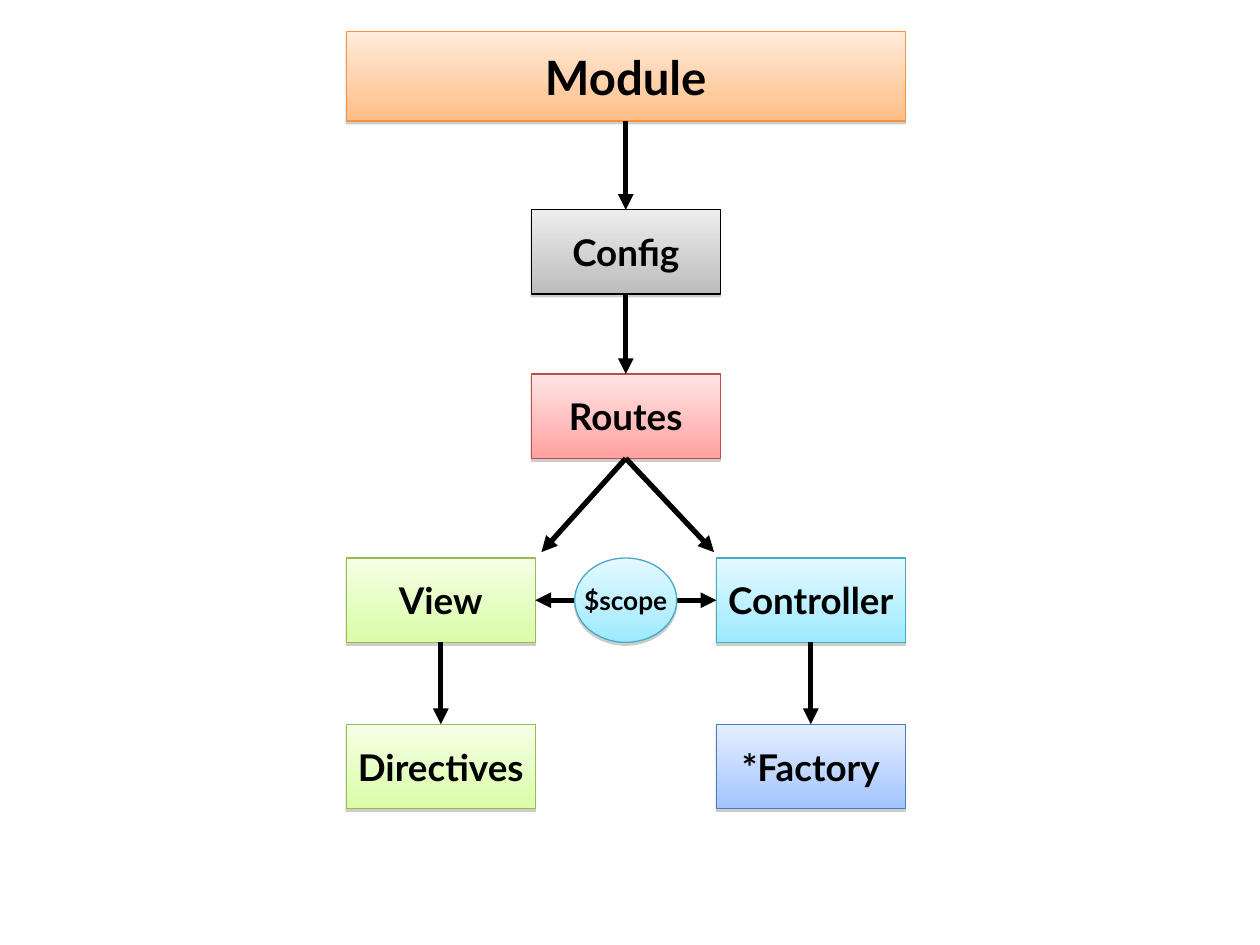
from dataclasses import dataclass

from lxml import etree
from pptx import Presentation
from pptx import util as u
from pptx.dml.color import RGBColor
from pptx.enum import shapes, text
from pptx.oxml import ns

TOP, LEFT, BOTTOM, RIGHT = range(4)


@dataclass(frozen=True)
class Theme:
    """Colours, as gradient top, gradient bottom and outline, and type sizes."""
    font: str = "Lato"
    ink: str = "000000"
    shadow: str = "808080"
    orange: tuple = ("FFEBDB", "FFBE86", "F69240")
    grey: tuple = ("EDEDED", "BCBCBC", "000000")
    red: tuple = ("FFE5E5", "FFA2A1", "BE4B48")
    green: tuple = ("F5FFE6", "DAFDA7", "98B954")
    cyan: tuple = ("E4F9FF", "9EEAFF", "46AAC5")
    blue: tuple = ("E5EEFF", "A3C4FF", "4A7EBB")
    title: int = 27
    label: int = 21
    small: int = 15
    outline: float = 0.75
    arrow: int = 3


def apply(target, values):
    """Set each named attribute of the target."""
    for name, value in values.items():
        setattr(target, name, value)


def add_element(parent, tag, **attributes):
    """Append a drawing element to the parent."""
    return etree.SubElement(parent, ns.qn(tag), attributes)


class Diagram:
    """Draws nodes and arrows on one slide in one theme."""

    def __init__(self, slide, theme):
        """Keep the slide and the theme."""
        self.slide = slide
        self.theme = theme

    def node(self, label, colours, left, top, width, height, size=None,
             kind=shapes.MSO_SHAPE.RECTANGLE):
        """Add a labelled gradient shape with a hard shadow."""
        shape = self.slide.shapes.add_shape(
            kind, u.Cm(left), u.Cm(top), u.Cm(width), u.Cm(height))
        *gradient, outline = colours
        shape.fill.gradient()
        shape.fill.gradient_angle = 270
        for position, (stop, colour) in enumerate(zip(shape.fill.gradient_stops, gradient)):
            stop.position = position
            stop.color.rgb = RGBColor.from_string(colour)
        shape.line.color.rgb = RGBColor.from_string(outline)
        shape.line.width = u.Pt(self.theme.outline)
        self.shadow(shape)
        apply(shape.text_frame, {"word_wrap": False,
                                 "vertical_anchor": text.MSO_ANCHOR.MIDDLE})
        paragraph = shape.text_frame.paragraphs[0]
        apply(paragraph, {"text": label, "alignment": text.PP_ALIGN.CENTER})
        apply(paragraph.runs[0].font, {"name": self.theme.font, "bold": True,
                                       "size": u.Pt(size or self.theme.label)})
        paragraph.runs[0].font.color.rgb = RGBColor.from_string(self.theme.ink)
        return shape

    def shadow(self, shape):
        """Give the shape a hard shadow straight below."""
        shape.shadow.inherit = False
        effects = shape.element.spPr.find(ns.qn("a:effectLst"))
        outer = add_element(effects, "a:outerShdw", blurRad="0", dist=str(u.Pt(1.6)),
                            dir="5400000", rotWithShape="0")
        colour = add_element(outer, "a:srgbClr", val=self.theme.shadow)
        add_element(colour, "a:alpha", val="38000")

    def arrow(self, start, start_side, end=None, end_side=TOP, point=(0, 0), both=False):
        """Add an arrow from one node to another node or to a free point."""
        connector = self.slide.shapes.add_connector(
            shapes.MSO_CONNECTOR.STRAIGHT, 0, 0, *map(u.Cm, point))
        connector.begin_connect(start, start_side)
        if end is not None:
            connector.end_connect(end, end_side)
        connector.line.color.rgb = RGBColor.from_string(self.theme.ink)
        connector.line.width = u.Pt(self.theme.arrow)
        line = connector.get_or_add_ln()
        if both:
            add_element(line, "a:headEnd", type="triangle")
        add_element(line, "a:tailEnd", type="triangle")
        add_element(connector.element.spPr, "a:effectLst")


def main():
    """Build the module diagram and save it."""
    presentation = Presentation()
    apply(presentation, {"slide_width": u.Cm(25.4), "slide_height": u.Cm(19.05)})
    slide = presentation.slides.add_slide(presentation.slide_layouts[6])
    theme = Theme()
    diagram = Diagram(slide, theme)

    width, height = 3.81, 1.7
    left, step = 6.98, 3.73
    middle, right = left + step, left + 2 * step
    centre = middle + width / 2
    split_row, leaf_row = 11.25, 14.6
    scope_width = 2.06

    module = diagram.node("Module", theme.orange, left, 0.64, 2 * step + width, 1.8, theme.title)
    config, routes, view, controller, directives, factory = [
        diagram.node(label, colours, column, row, width, height)
        for label, colours, column, row in (
            ("Config", theme.grey, middle, 4.23),
            ("Routes", theme.red, middle, 7.54),
            ("View", theme.green, left, split_row),
            ("Controller", theme.cyan, right, split_row),
            ("Directives", theme.green, left, leaf_row),
            ("*Factory", theme.blue, right, leaf_row))]

    for start, end in ((module, config), (config, routes),
                       (view, directives), (controller, factory)):
        diagram.arrow(start, BOTTOM, end)
    for offset in (-1.7, 1.78):
        diagram.arrow(routes, BOTTOM, point=(centre + offset, split_row - 0.12))
    diagram.arrow(controller, LEFT, view, RIGHT, both=True)
    diagram.node("$scope", theme.cyan, centre - scope_width / 2, split_row,
                 scope_width, height, theme.small, shapes.MSO_SHAPE.OVAL)

    presentation.save("out.pptx")


if __name__ == "__main__":
    main()
